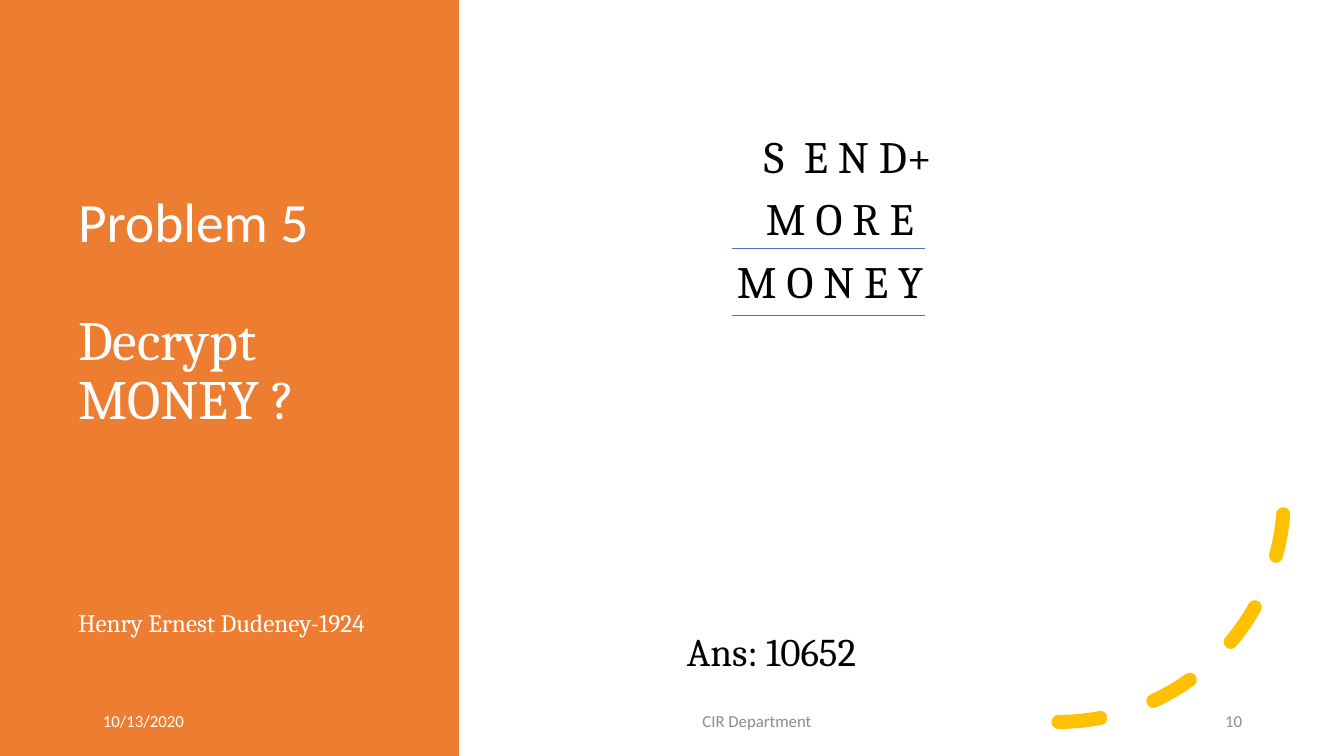
from dataclasses import dataclass

from lxml.etree import SubElement
from pptx import Presentation
from pptx.dml.color import RGBColor
from pptx.enum.dml import MSO_LINE
from pptx.enum.shapes import MSO_CONNECTOR, MSO_SHAPE
from pptx.enum.text import MSO_ANCHOR, PP_ALIGN
from pptx.oxml.ns import qn
from pptx.util import Emu, Pt


@dataclass(frozen=True)
class Theme:
    orange: RGBColor = RGBColor(0xED, 0x7D, 0x31)
    yellow: RGBColor = RGBColor(0xFF, 0xC0, 0x00)
    blue: RGBColor = RGBColor(0x44, 0x72, 0xC4)
    gray: RGBColor = RGBColor(0x8C, 0x8C, 0x8C)
    white: RGBColor = RGBColor(0xFF, 0xFF, 0xFF)
    black: RGBColor = RGBColor(0, 0, 0)
    sans: str = "Calibri"
    serif: str = "Cambria"
    heading: float = 39.6
    puzzle: int = 32
    answer: int = 28
    credit: int = 18
    footer: int = 12


THEME = Theme()
PX = 9071

TITLE = [
    ("Problem 5", THEME.sans, THEME.heading, 0),
    ("Decrypt MONEY ?", THEME.serif, THEME.heading, 41),
    ("Henry Ernest Dudeney-1924", THEME.serif, THEME.credit, 128),
]
PUZZLE = [
    (27, [("S ", 350), ("E N D+", 0)]),
    (29, [("M O R E", 0)]),
    (0, [("M O N E Y", 0)]),
]
ANSWER = "Ans: 10652"
FOOTERS = [
    ("10/13/2020", 93, 302, PP_ALIGN.LEFT, THEME.white),
    ("CIR Department", 490, 534, PP_ALIGN.CENTER, THEME.gray),
    ("10", 1083, 169, PP_ALIGN.RIGHT, THEME.gray),
]
PANEL = (0, 0, 459, 756)
TITLE_BOX = (68, 83, 353, 616)
TITLE_INSET = 112
PUZZLE_BOX = (727, 124, 300, 200)
ANSWER_BOX = (677, 622, 300, 60)
FOOTER_TOP, FOOTER_HEIGHT = 701, 40
ARC_BOX = (833, 271, 451, 451)
RULE_LEFT, RULE_RIGHT = 732, 925
RULE_ROWS = (248, 315)


def px(*values):
    return [Emu(value * PX) for value in values]


def apply(target, **values):
    for name, value in values.items():
        setattr(target, name, value)


def add_run(paragraph, text, face, size, color):
    run = paragraph.add_run()
    run.text = text
    apply(run.font, name=face, size=Pt(size))
    run.font.color.rgb = color
    return run


def add_text_frame(slide, box, anchor=MSO_ANCHOR.TOP):
    frame = slide.shapes.add_textbox(*px(*box)).text_frame
    apply(frame, word_wrap=True, vertical_anchor=anchor)
    return frame


def paragraph_at(frame, index):
    return frame.add_paragraph() if index else frame.paragraphs[0]


def add_panel(slide):
    panel = slide.shapes.add_shape(MSO_SHAPE.RECTANGLE, *px(*PANEL))
    panel.shadow.inherit = False
    panel.fill.solid()
    panel.fill.fore_color.rgb = THEME.orange
    panel.line.fill.background()
    slide.shapes.title._element.addprevious(panel._element)


def add_title(slide):
    title = slide.shapes.title
    apply(title, **dict(zip(("left", "top", "width", "height"), px(*TITLE_BOX))))
    frame = title.text_frame
    apply(frame, word_wrap=True, vertical_anchor=MSO_ANCHOR.TOP,
          margin_top=px(TITLE_INSET)[0])
    for index, (text, face, size, before) in enumerate(TITLE):
        paragraph = paragraph_at(frame, index)
        apply(paragraph, alignment=PP_ALIGN.LEFT, line_spacing=0.9,
              space_before=Pt(before))
        add_run(paragraph, text, face, size, THEME.white)


def add_puzzle(slide):
    frame = add_text_frame(slide, PUZZLE_BOX)
    for index, (indent, parts) in enumerate(PUZZLE):
        paragraph = paragraph_at(frame, index)
        paragraph.space_after = Pt(6)
        paragraph._p.get_or_add_pPr().set("marL", str(indent * PX))
        for text, spacing in parts:
            run = add_run(paragraph, text, THEME.serif, THEME.puzzle, THEME.black)
            run.font._element.set("spc", str(spacing))
    for row in RULE_ROWS:
        rule = slide.shapes.add_connector(
            MSO_CONNECTOR.STRAIGHT, *px(RULE_LEFT, row, RULE_RIGHT, row))
        rule.line.color.rgb = THEME.blue
        rule.line.width = Pt(0.5)
        SubElement(rule._element.spPr, qn("a:effectLst"))


def add_answer(slide):
    frame = add_text_frame(slide, ANSWER_BOX)
    add_run(frame.paragraphs[0], ANSWER, THEME.serif, THEME.answer, THEME.black)


def add_footers(slide):
    for text, left, width, alignment, color in FOOTERS:
        box = (left, FOOTER_TOP, width, FOOTER_HEIGHT)
        paragraph = add_text_frame(slide, box, MSO_ANCHOR.MIDDLE).paragraphs[0]
        apply(paragraph, alignment=alignment, space_after=Pt(6))
        add_run(paragraph, text, THEME.sans, THEME.footer, color)


def add_arc(slide):
    arc = slide.shapes.add_shape(MSO_SHAPE.ARC, *px(*ARC_BOX))
    arc.shadow.inherit = False
    arc.fill.background()
    arc.line.color.rgb = THEME.yellow
    apply(arc.line, width=Pt(10), dash_style=MSO_LINE.DASH)
    arc.line._get_or_add_ln().set("cap", "rnd")
    arc._element.spPr.xfrm.set("flipV", "1")


def main():
    presentation = Presentation()
    width, height = px(1344, 756)
    apply(presentation, slide_width=width, slide_height=height)
    slide = presentation.slides.add_slide(presentation.slide_layouts[5])
    for add_part in (add_panel, add_title, add_footers, add_arc,
                     add_puzzle, add_answer):
        add_part(slide)
    presentation.save("out.pptx")


if __name__ == "__main__":
    main()
